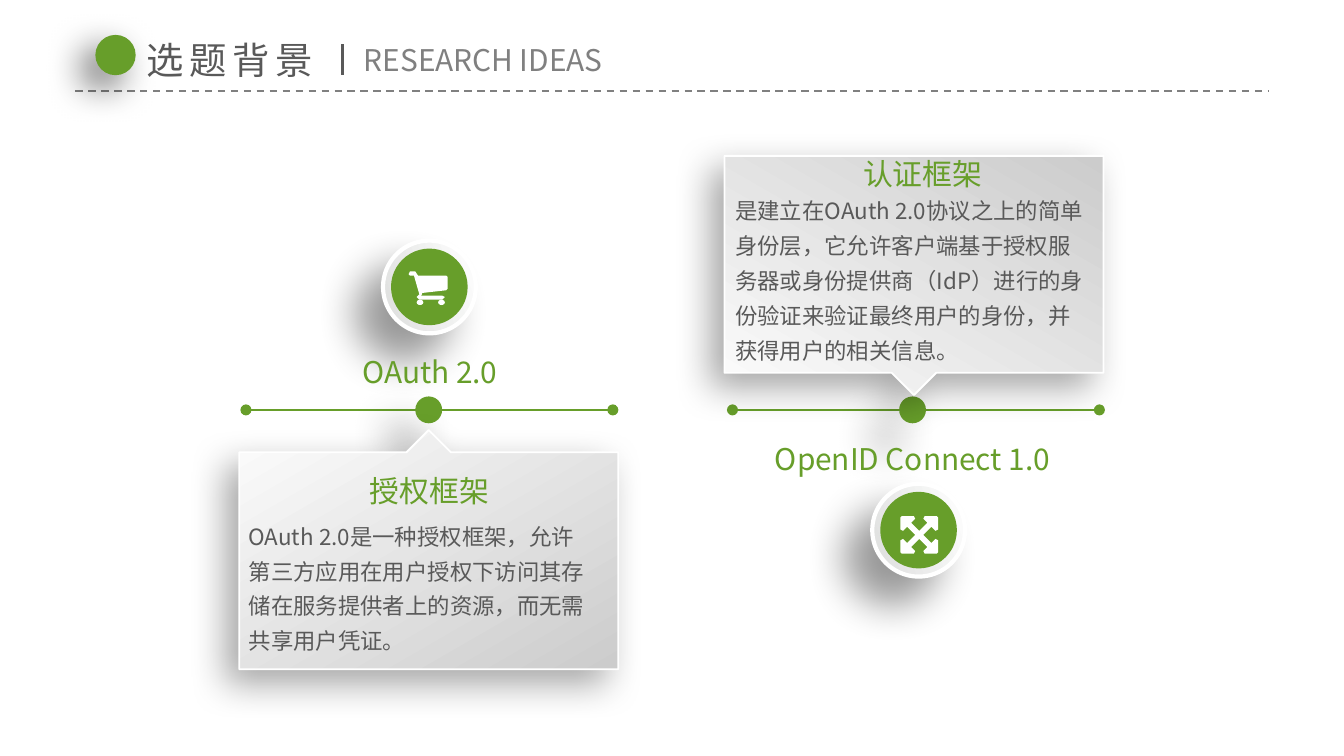
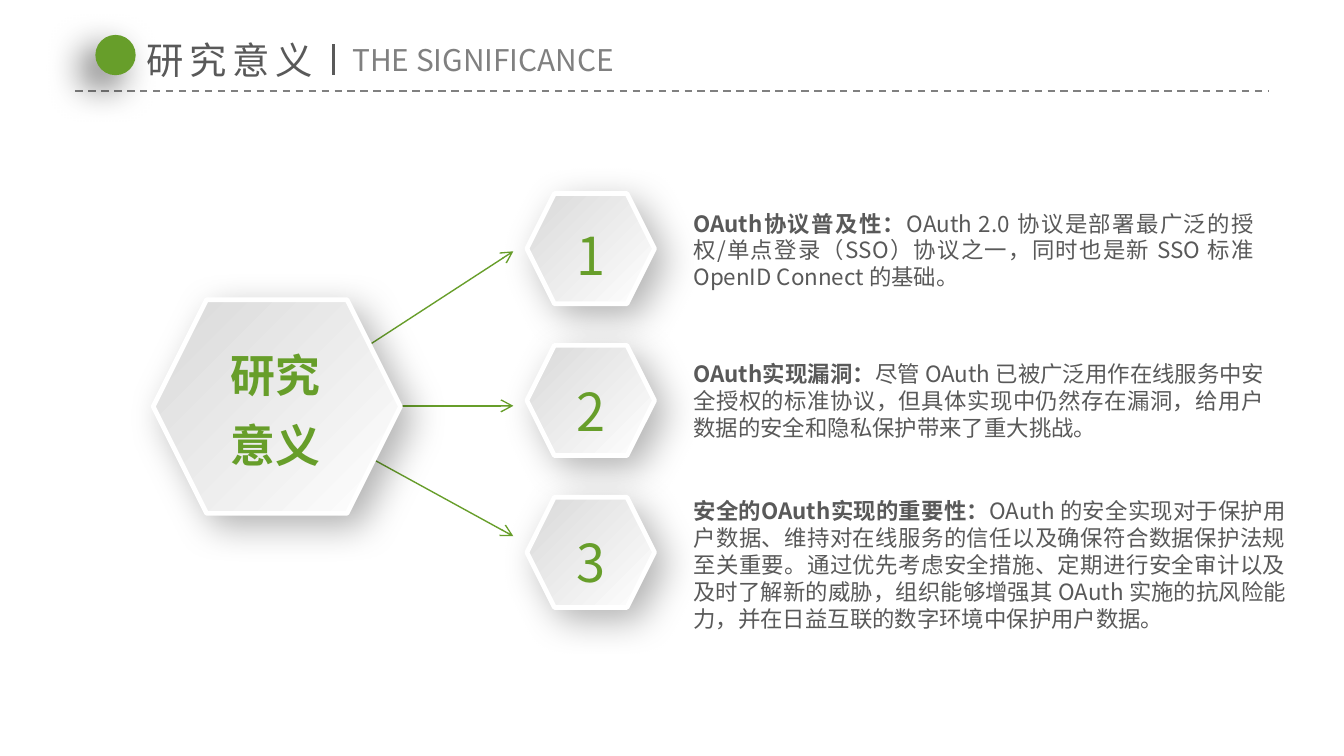
import pptx
import pptx.dml.color
import pptx.enum.dml
import pptx.enum.shapes
import pptx.enum.text
import pptx.oxml
import pptx.oxml.ns
import pptx.util

Inches = pptx.util.Inches
Pt = pptx.util.Pt
Shape = pptx.enum.shapes.MSO_SHAPE
Align = pptx.enum.text.PP_ALIGN

# Shared look
FONT = "Noto Sans CJK SC"
GREEN, DARK, GRAY, WHITE = "679E2A", "595959", "808080", "FFFFFF"
NO_INSET = (0, 0, 0, 0)
BODY_INSET = (0, 0, 0.1, 0.05)
# Shadows: opacity %, blur pt, distance pt, direction in degrees
DOT_SHADOW = (60, 20, 10, 135)
ROUND_SHADOW = (40, 22, 20, 135)
CALLOUT_SHADOW = (34, 20, 10, 136)
HEXAGON_SHADOW = (30, 20, 8, 45)


def rgb(value):
    return pptx.dml.color.RGBColor.from_string(value)


def lengths(values):
    return [Inches(value) for value in values]


def xml_element(tag, **attributes):
    element = pptx.oxml.parse_xml(f"<a:{tag} {pptx.oxml.ns.nsdecls('a')}/>")
    for name, value in attributes.items():
        element.set(name, str(value))
    return element


# Shapes
def add_shadow(shape, opacity, blur, distance, direction):
    effects = shape._element.spPr.find(pptx.oxml.ns.qn("a:effectLst"))
    shadow = xml_element("outerShdw", blurRad=Pt(blur), dist=Pt(distance),
                         dir=direction * 60000, algn="ctr", rotWithShape=0)
    color = xml_element("srgbClr", val="000000")
    color.append(xml_element("alpha", val=opacity * 1000))
    shadow.append(color)
    effects.append(shadow)


def paint(shape, fill, line_width=0, shadow=None):
    """Fill is one colour or (first colour, last colour, clockwise angle)."""
    shape.shadow.inherit = False
    if isinstance(fill, str):
        shape.fill.solid()
        shape.fill.fore_color.rgb = rgb(fill)
    else:
        shape.fill.gradient()
        shape.fill.gradient_angle = 360 - fill[2]
        for stop, color, position in zip(shape.fill.gradient_stops, fill, (0, 1)):
            stop.color.rgb = rgb(color)
            stop.position = position
    if line_width:
        shape.line.color.rgb = rgb(WHITE)
        shape.line.width = Pt(line_width)
    else:
        shape.line.fill.background()
    if shadow:
        add_shadow(shape, *shadow)


def add_figure(shapes, kind, area, fill, line_width=0, shadow=None):
    shape = shapes.add_shape(kind, *lengths(area))
    paint(shape, fill, line_width, shadow)
    return shape


def add_outline(shapes, points):
    corners = [lengths(point) for point in points]
    builder = shapes.build_freeform(*corners[0])
    builder.add_line_segments(corners[1:], close=True)
    paint(builder.convert_to_shape(), WHITE)


def add_line(shapes, start, end, color, width, dash=None, head=None, tail=None):
    line = shapes.add_connector(pptx.enum.shapes.MSO_CONNECTOR.STRAIGHT,
                                *lengths(start + end))
    line.line.color.rgb = rgb(color)
    line.line.width = Pt(width)
    if dash:
        line.line.dash_style = dash
    for tag, ending in (("headEnd", head), ("tailEnd", tail)):
        if ending:
            line.line._get_or_add_ln().append(xml_element(tag, type=ending))
    line._element.spPr.append(xml_element("effectLst"))


# Text
def style_span(span, size, color, bold=False, tracking=0):
    span.font.size = Pt(size)
    span.font.bold = bold
    span.font.color.rgb = rgb(color)
    span.font.name = FONT
    properties = span._r.get_or_add_rPr()
    properties.append(xml_element("ea", typeface=FONT))
    if tracking:
        properties.set("spc", str(tracking * 100))


def fill_text(box, text, size, color, align=Align.LEFT, bold=False, wrap=False,
              inset=None, spacing=None, tracking=0):
    frame = box.text_frame
    frame.text = text
    frame.word_wrap = wrap
    frame.auto_size = pptx.enum.text.MSO_AUTO_SIZE.SHAPE_TO_FIT_TEXT
    frame.vertical_anchor = pptx.enum.text.MSO_ANCHOR.TOP
    if inset:
        (frame.margin_left, frame.margin_top,
         frame.margin_right, frame.margin_bottom) = lengths(inset)
    for para in frame.paragraphs:
        para.alignment = align
        if spacing:
            para.line_spacing = spacing
        for span in para.runs:
            style_span(span, size, color, bold, tracking)


def add_text(shapes, area, text, size, color, **options):
    box = shapes.add_textbox(*lengths(area))
    fill_text(box, text, size, color, **options)
    return box


# Page header
def add_page(deck, title, subtitle, subtitle_area, bar_x, subtitle_align):
    page = deck.slides.add_slide(deck.slide_layouts[5])
    heading = page.shapes.title
    heading.left, heading.top, heading.width, heading.height = lengths(
        (0.99, 0.23, 1.49, 0.44))
    fill_text(heading, title, 20, DARK, tracking=3)
    add_line(page.shapes, (0.56, 0.68), (9.44, 0.68), GRAY, 1,
             dash=pptx.enum.dml.MSO_LINE.DASH)
    add_figure(page.shapes, Shape.OVAL, (0.71, 0.26, 0.3, 0.3), GREEN,
               shadow=DOT_SHADOW)
    add_text(page.shapes, subtitle_area, subtitle, 16, GRAY, align=subtitle_align)
    add_line(page.shapes, (bar_x, 0.33), (bar_x, 0.56), DARK, 1.5)
    return page


# Background page
def add_badge(page, left, top):
    shapes = page.shapes.add_group_shape().shapes
    add_figure(shapes, Shape.OVAL, (left, top, 0.69, 0.69),
               (WHITE, "DDDEDD", 160), 2.25, ROUND_SHADOW)
    add_figure(shapes, Shape.OVAL, (left + 0.06, top + 0.06, 0.57, 0.57), GREEN)
    return shapes


def draw_cart(shapes):
    add_outline(shapes, [
        (3.33, 2.15), (3.32, 2.16), (3.14, 2.18), (3.14, 2.19), (3.13, 2.2),
        (3.29, 2.2), (3.31, 2.21), (3.29, 2.23), (3.12, 2.23), (3.1, 2.21),
        (3.12, 2.19), (3.08, 2.05), (3.05, 2.05), (3.04, 2.04), (3.05, 2.02),
        (3.09, 2.02), (3.11, 2.05), (3.32, 2.05), (3.33, 2.06)])
    for wheel_x in (3.1, 3.26):
        add_figure(shapes, Shape.OVAL, (wheel_x, 2.23, 0.05, 0.04), WHITE)


def draw_four_arrows(shapes, center_x, center_y):
    arm = [(0, -0.03), (0.06, -0.09), (0.03, -0.12), (0.04, -0.14), (0.13, -0.14),
           (0.14, -0.13), (0.14, -0.04), (0.12, -0.03), (0.09, -0.06)]
    points = []
    for _ in range(4):
        points += [(center_x + x, center_y + y) for x, y in arm]
        arm = [(-y, x) for x, y in arm]
    add_outline(shapes, points)


def add_timeline(page, left, dot_left):
    shapes = page.shapes.add_group_shape().shapes
    add_line(shapes, (left + 2.73, 3.05), (left, 3.05), GREEN, 1.5,
             head="oval", tail="oval")
    add_figure(shapes, Shape.OVAL, (dot_left, 2.95, 0.2, 0.2), GREEN,
               shadow=ROUND_SHADOW)


def add_callout(page, left, top, heading, heading_area, body, body_area,
                points_up=False):
    shapes = page.shapes.add_group_shape().shapes
    frame = add_figure(shapes, Shape.DOWN_ARROW_CALLOUT, (left, top, 2.82, 1.78),
                       ("CCCCCC", "FCFCFC", 120), 1, CALLOUT_SHADOW)
    for index, value in enumerate((0.258, 0.093, 0.093, 0.907)):
        frame.adjustments[index] = value
    if points_up:
        frame._element.spPr.xfrm.set("flipV", "1")
    add_text(shapes, body_area, body, 12, DARK, wrap=True, inset=BODY_INSET,
             spacing=1.3)
    add_text(shapes, heading_area, heading, 16, GREEN, align=Align.CENTER,
             inset=NO_INSET)


def build_background(deck):
    page = add_page(deck, "选题背景", "RESEARCH IDEAS", (2.61, 0.26, 2.07, 0.37),
                    2.55, Align.LEFT)
    draw_cart(add_badge(page, 2.85, 1.79))
    draw_four_arrows(add_badge(page, 6.49, 3.6), 6.84, 3.98)
    add_timeline(page, 1.83, 3.09)
    add_timeline(page, 5.45, 6.69)
    add_callout(page, 5.39, 1.16, "认证框架", (6.42, 1.16, 0.89, 0.27),
                "是建立在OAuth 2.0协议之上的简单身份层，它允许客户端基于授权服务器或"
                "身份提供商（IdP）进行的身份验证来验证最终用户的身份，并获得用户的相关信息。",
                (5.47, 1.41, 2.76, 1.36))
    add_callout(page, 1.78, 3.2, "授权框架", (2.75, 3.52, 0.89, 0.27),
                "OAuth 2.0是一种授权框架，允许第三方应用在用户授权下访问其存储在"
                "服务提供者上的资源，而无需共享用户凭证。",
                (1.85, 3.83, 2.68, 1.1), points_up=True)
    for area, name in (((2.65, 2.63, 1.1, 0.27), "OAuth 2.0"),
                       ((5.55, 3.28, 2.48, 0.27), "OpenID Connect 1.0")):
        add_text(page.shapes, area, name, 16, GREEN, align=Align.CENTER,
                 wrap=True, inset=NO_INSET)


# Significance page
def add_hexagon(page, area, label_area, label, size, bold=False):
    shapes = page.shapes.add_group_shape().shapes
    add_figure(shapes, Shape.HEXAGON, area, ("D9D9D9", WHITE, 45), 2.5,
               HEXAGON_SHADOW)
    add_text(shapes, label_area, label, size, GREEN, align=Align.CENTER,
             bold=bold, spacing=1.3)


def add_reason(page, area, lead, body):
    box = add_text(page.shapes, area, lead, 12, DARK, align=Align.JUSTIFY,
                   bold=True, wrap=True, inset=NO_INSET)
    span = box.text_frame.paragraphs[0].add_run()
    span.text = body
    style_span(span, 12, DARK)


def build_significance(deck):
    page = add_page(deck, "研究意义", "THE SIGNIFICANCE", (2.47, 0.26, 2.25, 0.37),
                    2.48, Align.CENTER)
    for end_y in (1.87, 3.02, 3.99):
        add_line(page.shapes, (2.05, 3.02), (3.82, end_y), GREEN, 0.75, tail="arrow")
    add_hexagon(page, (1.14, 2.23, 1.84, 1.59), (1.61, 2.42, 0.88, 1.15),
                "研究\n意义", 24, bold=True)
    # Number top, text area, lead, text
    reasons = [
        (1.47, (5.16, 1.56, 4.17, 0.61), "OAuth协议普及性：",
         "OAuth 2.0 协议是部署最广泛的授权/单点登录（SSO）协议之一，"
         "同时也是新 SSO 标准 OpenID Connect 的基础。"),
        (2.63, (5.16, 2.68, 4.25, 0.61), "OAuth实现漏洞：",
         "尽管 OAuth 已被广泛用作在线服务中安全授权的标准协议，"
         "但具体实现中仍然存在漏洞，给用户数据的安全和隐私保护带来了重大挑战。"),
        (3.76, (5.16, 3.7, 4.41, 1.01), "安全的OAuth实现的重要性：",
         "OAuth 的安全实现对于保护用户数据、维持对在线服务的信任以及确保符合"
         "数据保护法规至关重要。通过优先考虑安全措施、定期进行安全审计以及及时"
         "了解新的威胁，组织能够增强其 OAuth 实施的抗风险能力，"
         "并在日益互联的数字环境中保护用户数据。"),
    ]
    for index, (number_top, area, lead, body) in enumerate(reasons):
        add_hexagon(page, (3.92, 1.44 + 1.13 * index, 0.95, 0.82),
                    (4.18, number_top, 0.43, 0.65), str(index + 1), 28)
        add_reason(page, area, lead, body)


def main():
    deck = pptx.Presentation()
    # Widescreen, 16:9
    deck.slide_width = Inches(10)
    deck.slide_height = deck.slide_width * 9 // 16
    build_background(deck)
    build_significance(deck)
    deck.save("out.pptx")


if __name__ == "__main__":
    main()
